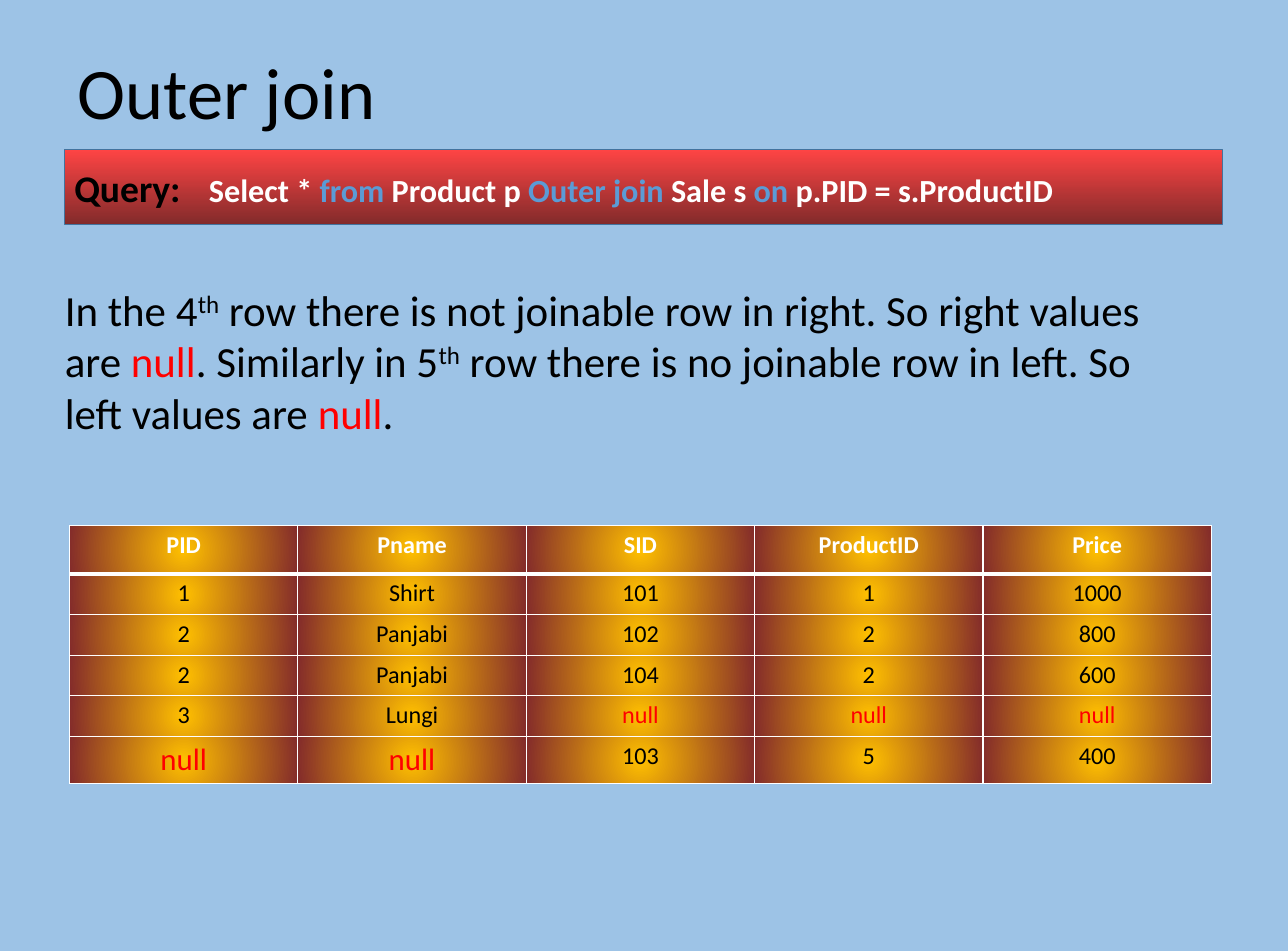
from dataclasses import dataclass

from lxml.etree import SubElement
from pptx import Presentation
from pptx.dml.color import RGBColor
from pptx.enum.shapes import MSO_SHAPE as Preset
from pptx.enum.text import MSO_ANCHOR as Anchor, MSO_AUTO_SIZE as AutoSize, PP_ALIGN as Align
from pptx.oxml.ns import qn
from pptx.util import Emu, Inches, Pt

WIDTH, HEIGHT = Inches(13.33), Inches(9.84)
FONT = "Calibri"
BLACK, WHITE, RED, BLUE = "000000", "FFFFFF", "FF0000", "5B9BD5"
SKY, STEEL, MAROON, SCARLET, GOLD = "9DC3E6", "43739E", "832B2B", "FE4444", "FFC000"
HEADER_ROW, DATA_ROW = 5.08, 4.27  # percent of the slide height


@dataclass
class Box:
    """A place on the slide, in percent of its width and height."""
    left: float
    top: float
    width: float
    height: float

    def lengths(self) -> tuple:
        return (across(self.left), down(self.top), across(self.width), down(self.height))


@dataclass
class Words:
    text: str
    size: float
    color: str = BLACK
    bold: bool = False
    raised: bool = False


def across(percent: float) -> Emu:
    return Emu(round(WIDTH * percent / 100))


def down(percent: float) -> Emu:
    return Emu(round(HEIGHT * percent / 100))


def rgb(color: str) -> RGBColor:
    return RGBColor.from_string(color)


def place(shape, box: Box) -> None:
    shape.left, shape.top, shape.width, shape.height = box.lengths()


def write(paragraph, pieces: list[Words]) -> None:
    for piece in pieces:
        run = paragraph.add_run()
        run.text = piece.text
        run.font.name = FONT
        run.font.size = Pt(piece.size)
        run.font.bold = piece.bold
        run.font.color.rgb = rgb(piece.color)
        if piece.raised:
            run._r.get_or_add_rPr().set("baseline", "30000")


def fill_gradient(fill, start: str, end: str) -> None:
    fill.gradient()
    for stop, color, position in zip(fill.gradient_stops, (start, end), (0, 1)):
        stop.color.rgb = rgb(color)
        stop.position = position


def fill_radial(cell) -> None:
    fill_gradient(cell.fill, GOLD, MAROON)
    gradient = cell._tc.tcPr.find(qn("a:gradFill"))
    gradient.remove(gradient.find(qn("a:lin")))
    circle = SubElement(gradient, qn("a:path"), path="circle")
    SubElement(circle, qn("a:fillToRect"), l="50000", t="50000", r="50000", b="50000")


def draw_borders(cell, top: float, bottom: float) -> None:
    properties = cell._tc.get_or_add_tcPr()
    for side, points in (("L", 1), ("R", 1), ("T", top), ("B", bottom)):
        line = SubElement(properties, qn(f"a:ln{side}"), w=str(Pt(points)))
        SubElement(SubElement(line, qn("a:solidFill")), qn("a:srgbClr"), val=WHITE)


def add_title(slide, box: Box, title: Words) -> None:
    shape = slide.shapes.title
    place(shape, box)
    frame = shape.text_frame
    frame.word_wrap = False
    frame.auto_size = AutoSize.NONE
    frame.paragraphs[0].alignment = Align.CENTER
    write(frame.paragraphs[0], [title])


def add_body(slide, box: Box, pieces: list[Words]) -> None:
    shape = slide.placeholders[1]
    place(shape, box)
    frame = shape.text_frame
    frame.word_wrap = True
    frame.auto_size = AutoSize.NONE
    paragraph = frame.paragraphs[0]
    properties = paragraph._p.get_or_add_pPr()
    properties.set("marL", "0")
    properties.set("indent", "0")
    SubElement(properties, qn("a:buNone"))
    paragraph.space_before = Pt(0)
    write(paragraph, pieces)


def add_query(slide, box: Box, pieces: list[Words], tab: float) -> None:
    shape = slide.shapes.add_shape(Preset.RECTANGLE, *box.lengths())
    shape.shadow.inherit = False
    fill_gradient(shape.fill, SCARLET, MAROON)
    shape.fill.gradient_angle = 270
    shape.line.color.rgb = rgb(STEEL)
    shape.line.width = Pt(1)
    frame = shape.text_frame
    frame.word_wrap = True
    frame.vertical_anchor = Anchor.MIDDLE
    paragraph = frame.paragraphs[0]
    paragraph.alignment = Align.LEFT
    tabs = SubElement(paragraph._p.get_or_add_pPr(), qn("a:tabLst"))
    SubElement(tabs, qn("a:tab"), pos=str(across(tab)), algn="l")
    write(paragraph, pieces)


def add_join_table(slide, box: Box, rows: list[list[str]]) -> None:
    table = slide.shapes.add_table(len(rows), len(rows[0]), *box.lengths()).table
    table.first_row = table.horz_banding = False
    for row, values in enumerate(rows):
        header, last = row == 0, row == len(rows) - 1
        table.rows[row].height = down(HEADER_ROW if header else DATA_ROW)
        for column, value in enumerate(values):
            cell = table.cell(row, column)
            draw_borders(cell, top=3 if row == 1 else 1, bottom=3 if header else 1)
            fill_radial(cell)
            missing = value == "null"
            color = WHITE if header else RED if missing else BLACK
            paragraph = cell.text_frame.paragraphs[0]
            paragraph.alignment = Align.CENTER
            write(paragraph, [Words(value, 23 if missing and last else 18, color, header)])


QUERY = [
    Words("Query:", 28, BLACK, True),
    Words("\tSelect * ", 24, WHITE, True),
    Words("from", 24, BLUE, True),
    Words(" Product p ", 24, WHITE, True),
    Words("Outer join", 24, BLUE, True),
    Words(" Sale s ", 24, WHITE, True),
    Words("on", 24, BLUE, True),
    Words(" p.PID = s.ProductID", 24, WHITE, True),
]
EXPLANATION = [
    Words("In the 4", 32),
    Words("th", 32, raised=True),
    Words(" row there is not joinable row in right. So right values are ", 32),
    Words("null", 32, RED),
    Words(". Similarly in 5", 32),
    Words("th", 32, raised=True),
    Words(" row there is no joinable row in left. So left values are ", 32),
    Words("null", 32, RED),
    Words(".", 32),
]
JOINED_ROWS = [
    ["PID", "Pname", "SID", "ProductID", "Price"],
    ["1", "Shirt", "101", "1", "1000"],
    ["2", "Panjabi", "102", "2", "800"],
    ["2", "Panjabi", "104", "2", "600"],
    ["3", "Lungi", "null", "null", "null"],
    ["null", "null", "103", "5", "400"],
]


def main() -> None:
    presentation = Presentation()
    presentation.slide_width, presentation.slide_height = WIDTH, HEIGHT
    slide = presentation.slides.add_slide(presentation.slide_layouts[1])
    slide.background.fill.solid()
    slide.background.fill.fore_color.rgb = rgb(SKY)

    # Title and query bar
    add_title(slide, Box(4.05, 4.37, 27.08, 10.26), Words("Outer join", 54))
    add_query(slide, Box(5.03, 15.75, 89.87, 7.83), QUERY, tab=10.45)

    # Explanation and result of the join
    add_body(slide, Box(4.28, 29.27, 89.2, 17.28), EXPLANATION)
    add_join_table(slide, Box(5.4, 55.28, 88.65, HEADER_ROW + 5 * DATA_ROW), JOINED_ROWS)

    presentation.save("out.pptx")


if __name__ == "__main__":
    main()
